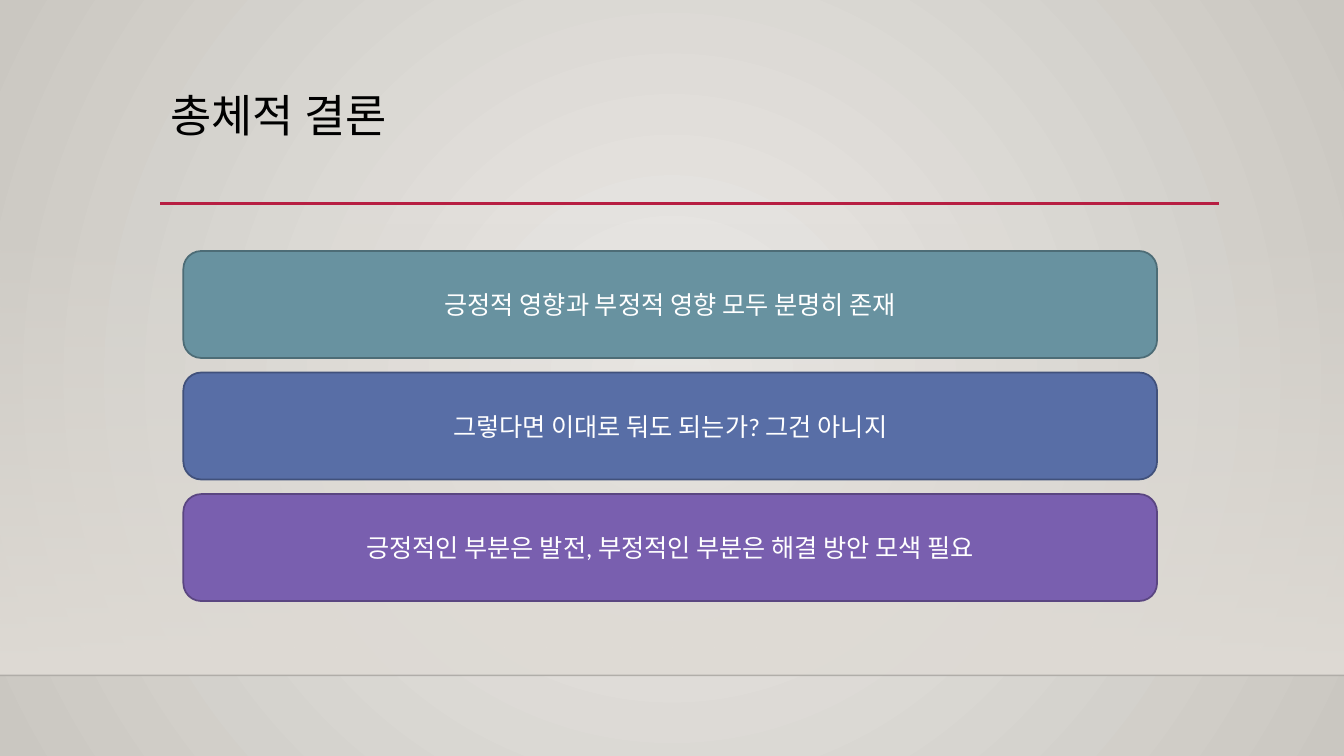
from lxml import etree
from pptx import Presentation
from pptx.dml.color import RGBColor
from pptx.enum.shapes import MSO_CONNECTOR, MSO_SHAPE
from pptx.enum.text import MSO_ANCHOR, MSO_AUTO_SIZE, PP_ALIGN
from pptx.oxml.ns import qn
from pptx.util import Pt

STRAIGHT = MSO_CONNECTOR.STRAIGHT
RECT, ROUNDED = MSO_SHAPE.RECTANGLE, MSO_SHAPE.ROUNDED_RECTANGLE
TOP, MIDDLE = MSO_ANCHOR.TOP, MSO_ANCHOR.MIDDLE
LEFT, CENTER = PP_ALIGN.LEFT, PP_ALIGN.CENTER
NO_FIT = MSO_AUTO_SIZE.NONE

FONT = "Calibri"
BLACK = RGBColor(0x00, 0x00, 0x00)
WHITE = RGBColor(0xFF, 0xFF, 0xFF)
RED = RGBColor(0xB7, 0x1E, 0x42)
FLOOR = RGBColor(0xDF, 0xDB, 0xD5)
BG_LIGHT = RGBColor(0xEC, 0xEA, 0xE7)
BG_DARK = RGBColor(0xCA, 0xC7, 0xC1)
TEAL, TEAL_DARK = RGBColor(0x68, 0x92, 0xA0), RGBColor(0x4D, 0x6C, 0x76)
BLUE, BLUE_DARK = RGBColor(0x58, 0x6E, 0xA6), RGBColor(0x41, 0x51, 0x7B)
PURPLE, PURPLE_DARK = RGBColor(0x79, 0x5F, 0xAF), RGBColor(0x5A, 0x46, 0x81)

CONCLUSIONS = [
    ("긍정적 영향과 부정적 영향 모두 분명히 존재", TEAL, TEAL_DARK),
    ("그렇다면 이대로 둬도 되는가? 그건 아니지", BLUE, BLUE_DARK),
    ("긍정적인 부분은 발전, 부정적인 부분은 해결 방안 모색 필요", PURPLE, PURPLE_DARK),
]
BOX_TOP, BOX_PITCH = 179.3, 86.8


def set_alpha(color, percent):
    """Set the opacity of an a:srgbClr element."""
    etree.SubElement(color, qn("a:alpha")).set("val", str(percent * 1000))


def set_gradient(fill, start, end):
    """Give a fill a two-stop gradient."""
    fill.gradient()
    for stop, color in zip(fill.gradient_stops, (start, end)):
        stop.color.rgb = color


def set_background(s):
    """Fill the background with a circular gradient."""
    set_gradient(s.background.fill, BG_LIGHT, BG_DARK)
    grad = s.element.find(".//" + qn("p:bgPr")).find(qn("a:gradFill"))
    grad.remove(grad.find(qn("a:lin")))
    path = etree.SubElement(grad, qn("a:path"))
    path.set("path", "circle")
    rect = etree.SubElement(path, qn("a:fillToRect"))
    for side in "ltrb":
        rect.set(side, "50000")


def add_floor(s):
    """Add the band that fades in towards the floor line."""
    sp = s.shapes.add_shape(RECT, 0, Pt(159.1), Pt(960), Pt(323.3))
    sp.shadow.inherit = False
    sp.line.fill.background()
    set_gradient(sp.fill, FLOOR, FLOOR)
    sp.fill.gradient_angle = 270
    set_alpha(sp.element.find(".//" + qn("a:srgbClr")), 0)


def add_rule(s, left, right, y, color, width, opacity=100):
    """Add a horizontal line."""
    line = s.shapes.add_connector(STRAIGHT, Pt(left), Pt(y), Pt(right), Pt(y))
    line.line.color.rgb = color
    line.line.width = Pt(width)
    if opacity < 100:
        set_alpha(line.element.find(".//" + qn("a:srgbClr")), opacity)
    etree.SubElement(line.element.spPr, qn("a:effectLst"))


def write(sp, text, size, color, align, anchor):
    """Write one paragraph into a shape."""
    tf = sp.text_frame
    tf.word_wrap = True
    tf.auto_size = NO_FIT
    tf.vertical_anchor = anchor
    p = tf.paragraphs[0]
    p.alignment = align
    r = p.add_run()
    r.text = text
    r.font.name = FONT
    r.font.size = Pt(size)
    r.font.color.rgb = color
    return p


def add_title(s, text):
    """Place and write the title."""
    sp = s.shapes.title
    sp.left, sp.top, sp.width, sp.height = Pt(114.5), Pt(63.4), Pt(756), Pt(82.8)
    write(sp, text, 32, BLACK, LEFT, TOP).line_spacing = 0.9


def add_conclusion(s, top, text, color, border):
    """Add a rounded box with a conclusion."""
    sp = s.shapes.add_shape(ROUNDED, Pt(131), Pt(top), Pt(695.5), Pt(76.4))
    sp.shadow.inherit = False
    sp.fill.solid()
    sp.fill.fore_color.rgb = color
    sp.line.color.rgb = border
    sp.line.width = Pt(1.25)
    write(sp, text, 18, WHITE, CENTER, MIDDLE)


def main():
    """Build and save the slide."""
    prs = Presentation()
    prs.slide_width, prs.slide_height = Pt(960), Pt(540)
    s = prs.slides.add_slide(prs.slide_layouts[5])
    set_background(s)
    add_floor(s)
    add_rule(s, 0, 960, 482.4, BLACK, 1, 20)
    add_rule(s, 114.5, 871, 145.4, RED, 2.5)
    add_title(s, "총체적 결론")
    for i, (text, color, border) in enumerate(CONCLUSIONS):
        add_conclusion(s, BOX_TOP + i * BOX_PITCH, text, color, border)
    prs.save("out.pptx")


if __name__ == "__main__":
    main()
